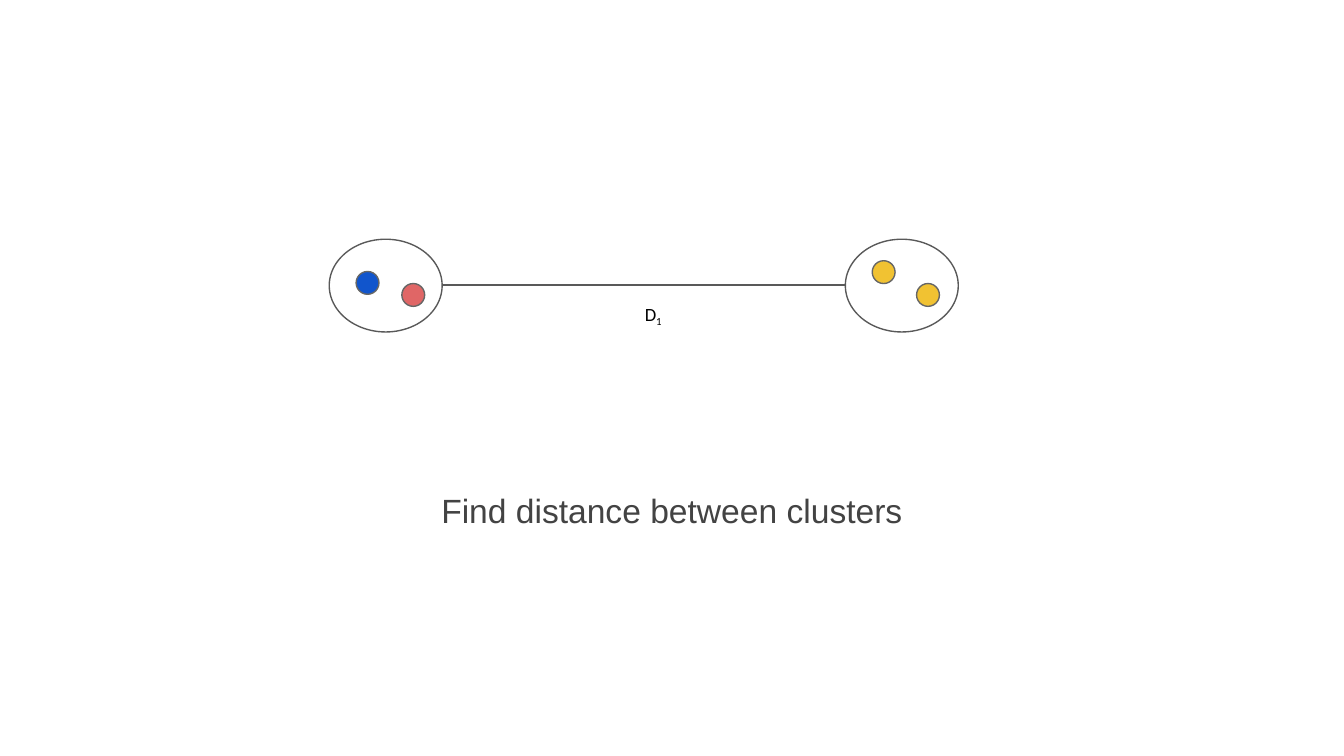
from dataclasses import dataclass

from lxml import etree
from pptx import Presentation
from pptx.dml.color import RGBColor
from pptx.enum.shapes import MSO_CONNECTOR, MSO_SHAPE
from pptx.enum.text import MSO_ANCHOR, PP_ALIGN
from pptx.oxml.ns import qn
from pptx.util import Inches, Pt

OVAL = MSO_SHAPE.OVAL
STRAIGHT = MSO_CONNECTOR.STRAIGHT
MIDDLE = MSO_ANCHOR.MIDDLE
CENTER = PP_ALIGN.CENTER


@dataclass(frozen=True)
class Theme:
    outline: str = "595959"
    point_outline: str = "666666"
    blue: str = "1155CC"
    red: str = "E06666"
    yellow: str = "F1C232"
    label: str = "000000"
    caption: str = "434343"
    label_size: int = 10
    caption_size: int = 18
    line_width: float = 0.75


theme = Theme()


def add_oval(left, top, width, height, line, fill=None):
    shape = slide.shapes.add_shape(
        OVAL, Inches(left), Inches(top), Inches(width), Inches(height))
    shape.shadow.inherit = False
    if fill:
        shape.fill.solid()
        shape.fill.fore_color.rgb = RGBColor.from_string(fill)
    else:
        shape.fill.background()
    shape.line.color.rgb = RGBColor.from_string(line)
    shape.line.width = Pt(theme.line_width)


def add_text(box, runs, font_name, size, color, line_spacing=1.0):
    """Add one centred line; runs are (text, is_subscript) pairs."""
    text_box = slide.shapes.add_textbox(*[Inches(length) for length in box])
    frame = text_box.text_frame
    frame_format = {"word_wrap": True, "vertical_anchor": MIDDLE}
    for side in ("left", "top", "right", "bottom"):
        frame_format[f"margin_{side}"] = Inches(0.1)
    for name, value in frame_format.items():
        setattr(frame, name, value)
    paragraph = frame.paragraphs[0]
    paragraph.alignment = CENTER
    paragraph.line_spacing = line_spacing
    for text, is_subscript in runs:
        run = paragraph.add_run()
        run.text = text
        for name, value in {"name": font_name, "size": Pt(size)}.items():
            setattr(run.font, name, value)
        run.font.color.rgb = RGBColor.from_string(color)
        if is_subscript:
            run._r.get_or_add_rPr().set("baseline", "-25000")


presentation = Presentation()
presentation.slide_width = Inches(10)
presentation.slide_height = Inches(10 * 9 / 16)
slide = presentation.slides.add_slide(presentation.slide_layouts[6])

# Text
add_text((4.6, 2.19, 0.52, 0.31), [("D", False), ("1", True)],
         "Calibri", theme.label_size, theme.label)
add_text((1.03, 3.54, 7.94, 0.47), [("Find distance between clusters", False)],
         "Arial", theme.caption_size, theme.caption, 1.15)

# Clusters: left edge and the points inside, as (left, top, colour)
cluster_top, cluster_width, cluster_height = 1.78, 0.84, 0.69
point_size = 0.17
clusters = [
    (2.45, [(2.65, 2.02, theme.blue), (2.99, 2.11, theme.red)]),
    (6.29, [(6.49, 1.94, theme.yellow), (6.82, 2.11, theme.yellow)]),
]
for cluster_left, points in clusters:
    add_oval(cluster_left, cluster_top, cluster_width, cluster_height, theme.outline)
    for left, top, color in points:
        add_oval(left, top, point_size, point_size, theme.point_outline, color)

# Distance line between the facing sides of the clusters
line_start = Inches(clusters[0][0] + cluster_width)
line_end = Inches(clusters[1][0])
line_y = Inches(2.12)
connector = slide.shapes.add_connector(STRAIGHT, line_start, line_y, line_end, line_y)
connector.line.color.rgb = RGBColor.from_string(theme.outline)
connector.line.width = Pt(theme.line_width)
etree.SubElement(connector._element.spPr, qn("a:effectLst"))

presentation.save("out.pptx")
